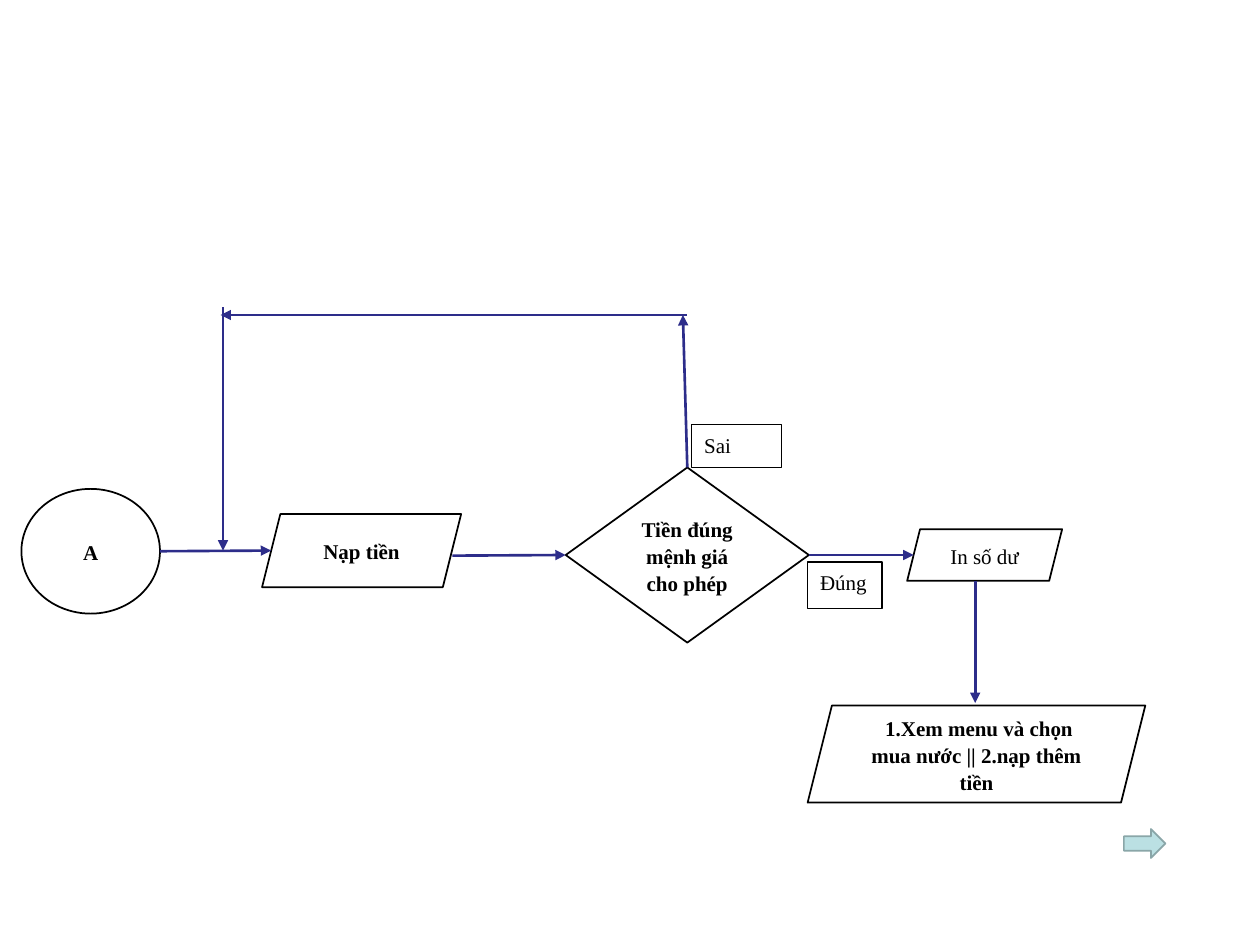
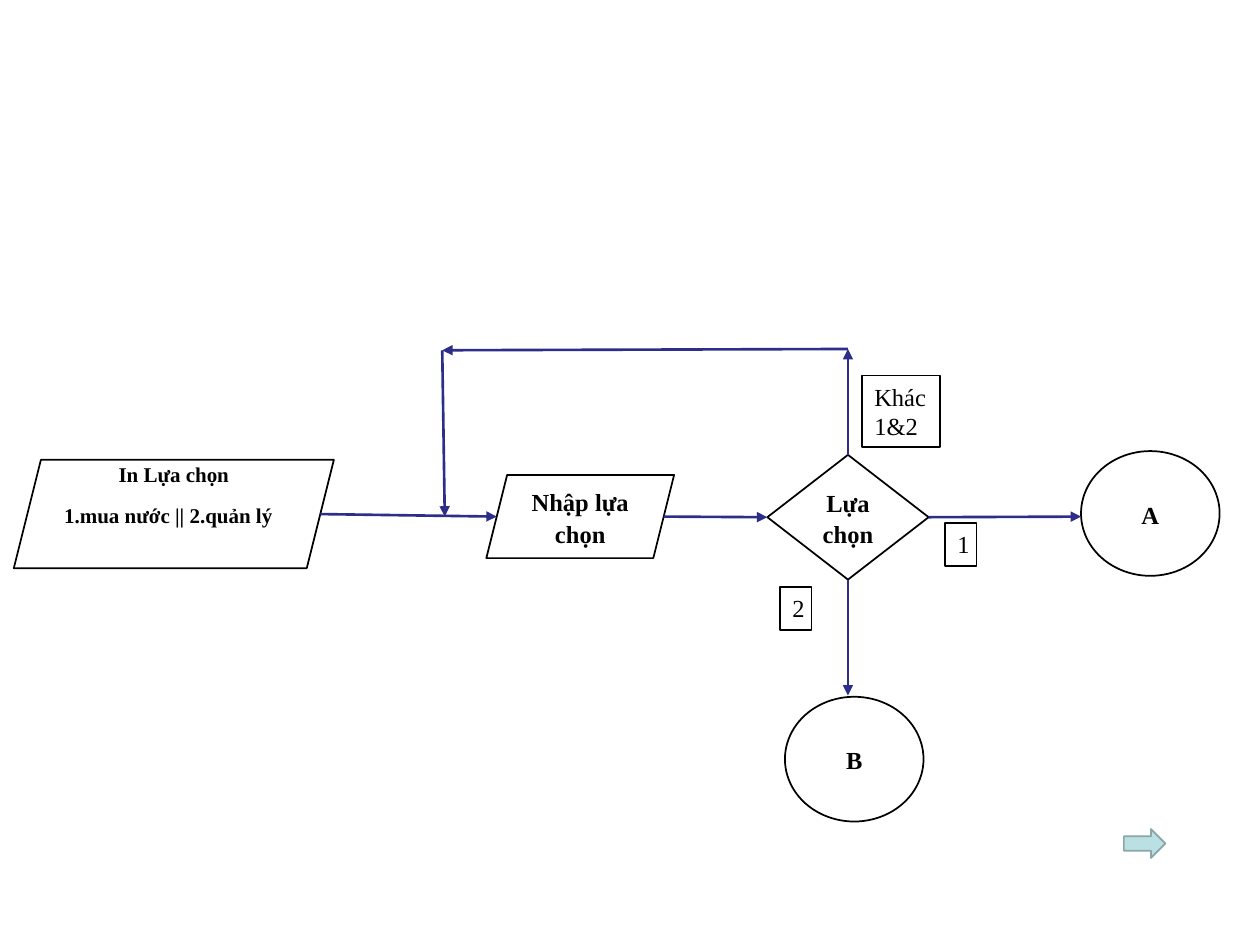
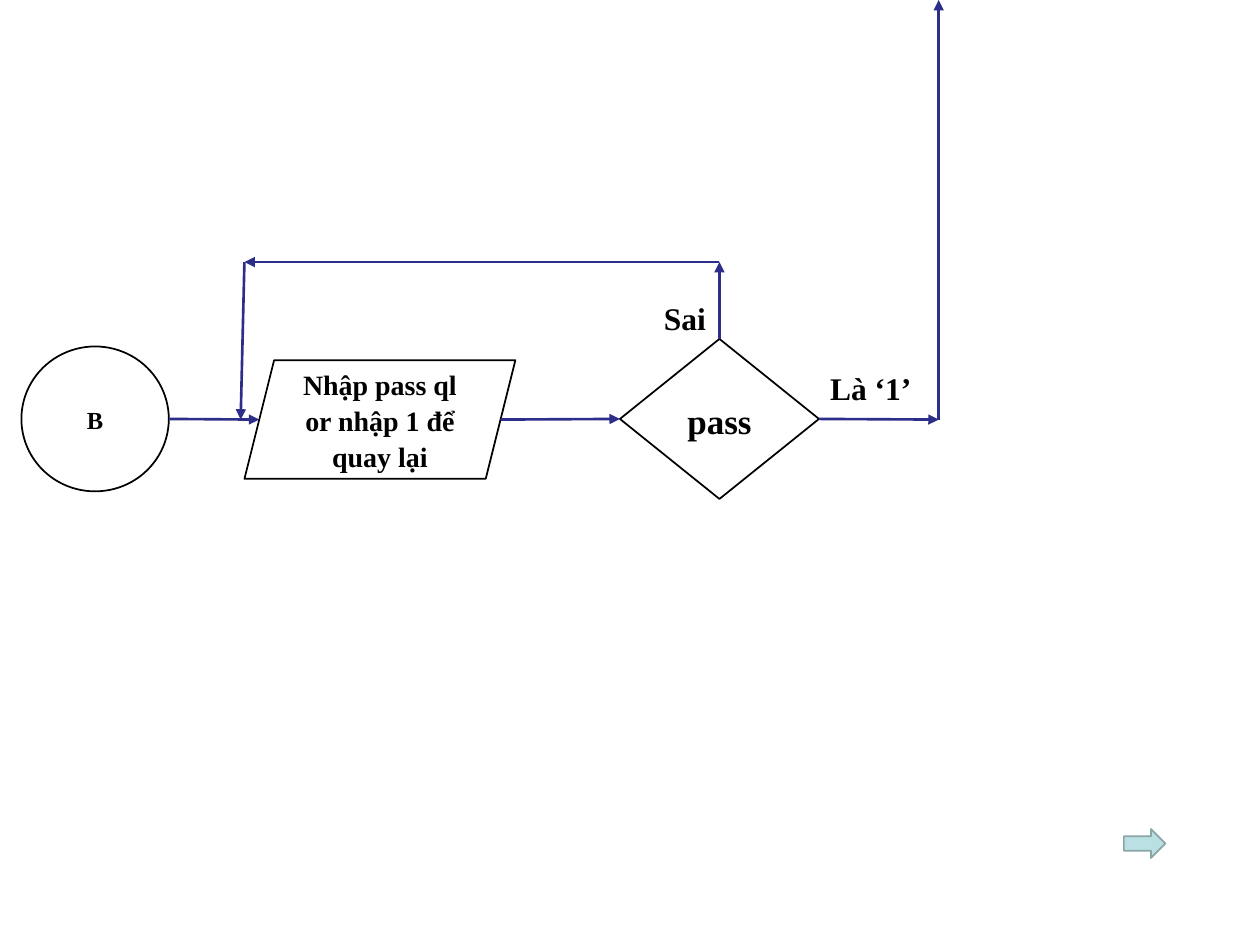
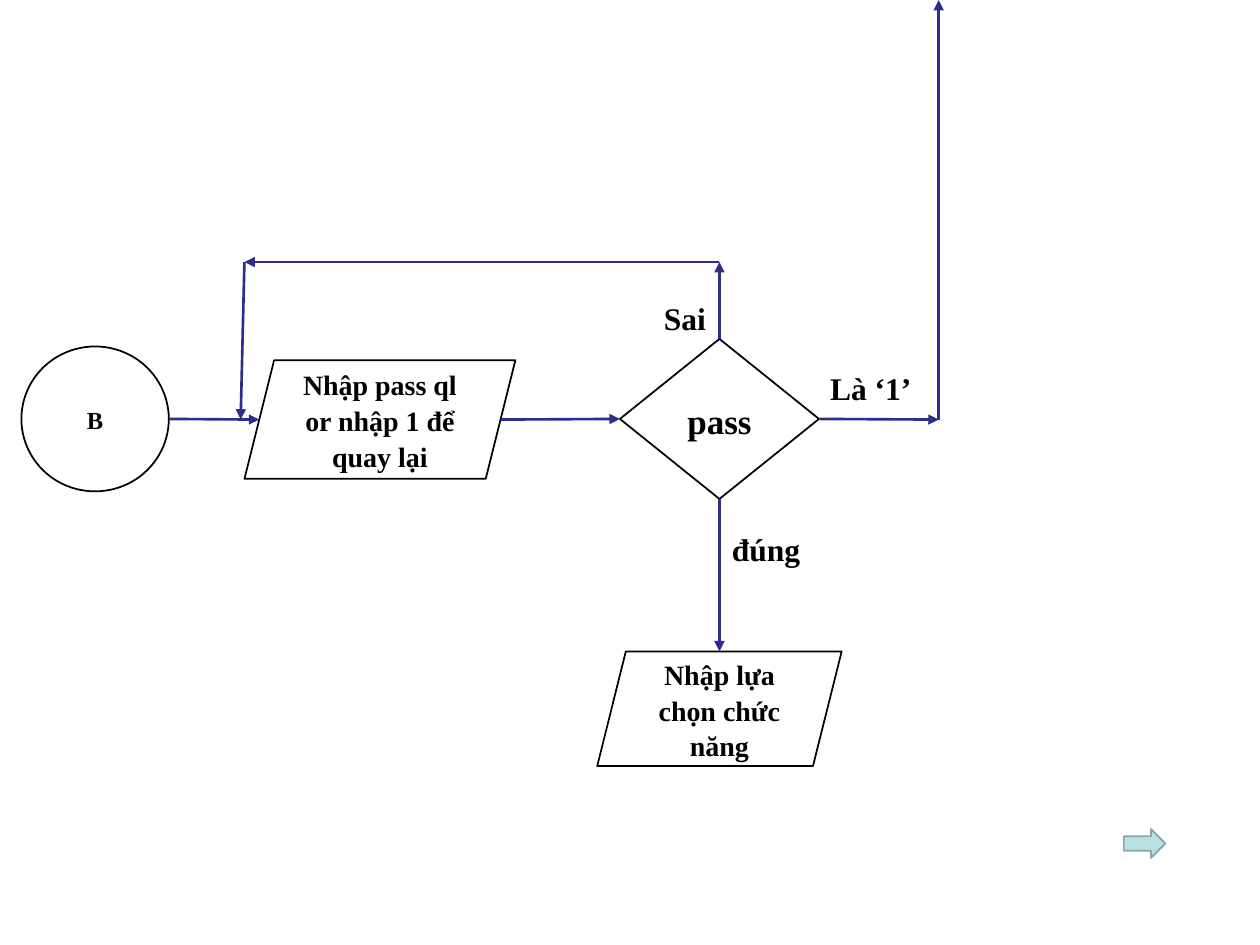
from dataclasses import dataclass
from itertools import pairwise

from lxml import etree
from pptx import Presentation
from pptx import util as u
from pptx.dml.color import RGBColor
from pptx.enum import shapes, text
from pptx.oxml.ns import qn

# Shared look
HUES = {"ink": "000000", "paper": "FFFFFF", "arrow": "2D2D8A",
        "next": "BBE0E3", "edge": "8AA6A8"}
FACE = "Times New Roman"
COLS, ROWS = 100, 75
WIDE, HIGH = u.Inches(10), u.Inches(7.5)
KIND = shapes.MSO_SHAPE
DISC, SKEW, GEM, RECT = (KIND.FLOWCHART_CONNECTOR, KIND.PARALLELOGRAM,
                         KIND.DIAMOND, KIND.RECTANGLE)
MID, LEFT = text.PP_ALIGN.CENTER, text.PP_ALIGN.LEFT
Point = tuple[float, float]


@dataclass(frozen=True)
class Box:
    """Place and size in grid columns and rows."""
    x: float
    y: float
    w: float
    h: float

    def emu(self) -> list[int]:
        return [col(self.x), row(self.y), col(self.w), row(self.h)]


@dataclass(frozen=True)
class Node(Box):
    """A filled step of the flow, with a point on each side for arrows."""
    kind: KIND
    words: str
    size: int = 12
    bold: bool = True
    aligns: tuple = (MID,)
    foot: float = 0.05

    def slant(self) -> float:
        return self.h / 8 if self.kind == SKEW else 0

    def west(self) -> Point:
        return self.x + self.slant(), self.y + self.h / 2

    def east(self) -> Point:
        return self.x + self.w - self.slant(), self.y + self.h / 2

    def north(self) -> Point:
        return self.x + self.w / 2, self.y

    def south(self) -> Point:
        return self.x + self.w / 2, self.y + self.h


@dataclass(frozen=True)
class Label(Box):
    """The answer beside an arrow, framed when it has a line."""
    words: str
    size: int
    line: float = 0
    bold: bool = False
    grow: bool = False


@dataclass(frozen=True)
class Flow:
    nodes: list[Node]
    labels: list[Label]
    routes: list[list[Point]]


def col(n: float) -> int:
    return round(WIDE * n / COLS)


def row(n: float) -> int:
    return round(HIGH * n / ROWS)


def hue(name: str) -> RGBColor:
    return RGBColor.from_string(HUES[name])


def apply(item, **marks) -> None:
    for name, mark in marks.items():
        setattr(item, name, mark)


def paint(shape, fill: str | None, line: str, width: float) -> None:
    shape.shadow.inherit = False
    if fill:
        shape.fill.solid()
        shape.fill.fore_color.rgb = hue(fill)
    else:
        shape.fill.background()
    shape.line.color.rgb = hue(line)
    shape.line.width = u.Pt(width)


def write(shape, words: str, size: int, bold: bool, aligns: tuple,
          tight: bool = False) -> None:
    frame = shape.text_frame
    frame.text = words
    frame.word_wrap = True
    for part, align in zip(frame.paragraphs, aligns):
        apply(part, alignment=align, line_spacing=1.0 if tight else 1.07,
              space_after=u.Pt(0 if tight else 8))
        font = part.runs[0].font
        apply(font, name=FACE, size=u.Pt(size), bold=bold)
        font.color.rgb = hue("ink")


def draw_node(slide, node: Node) -> None:
    shape = slide.shapes.add_shape(node.kind, *node.emu())
    paint(shape, "paper", "ink", 1)
    write(shape, node.words, node.size, node.bold, node.aligns)
    apply(shape.text_frame, vertical_anchor=text.MSO_ANCHOR.MIDDLE,
          margin_bottom=u.Inches(node.foot))


def draw_label(slide, label: Label) -> None:
    if label.line:
        shape = slide.shapes.add_shape(RECT, *label.emu())
        paint(shape, None, "ink", label.line)
    else:
        shape = slide.shapes.add_textbox(*label.emu())
    write(shape, label.words, label.size, label.bold, (LEFT,), label.grow)
    shape.text_frame.vertical_anchor = text.MSO_ANCHOR.TOP
    if label.grow:
        shape.text_frame.auto_size = text.MSO_AUTO_SIZE.SHAPE_TO_FIT_TEXT


def draw_arrow(slide, start: Point, end: Point) -> None:
    ends = [f(n) for p in (start, end) for f, n in zip((col, row), p)]
    link = slide.shapes.add_connector(shapes.MSO_CONNECTOR.STRAIGHT, *ends)
    link.line.color.rgb = hue("arrow")
    link.line.width = u.Pt(1.5)
    props = link.element.spPr
    etree.SubElement(props.find(qn("a:ln")), qn("a:tailEnd"), type="triangle")
    etree.SubElement(props, qn("a:effectLst"))


def draw_flow(slide, flow: Flow) -> None:
    for node in flow.nodes:
        draw_node(slide, node)
    for route in flow.routes:
        for start, end in pairwise(route):
            draw_arrow(slide, start, end)
    for label in flow.labels:
        draw_label(slide, label)


def add_next(deck, slide) -> None:
    """Put the next arrow on the master, so every slide shows it."""
    shape = slide.shapes.add_shape(KIND.RIGHT_ARROW,
                                   *Box(89.2, 65.8, 3.3, 2.3).emu())
    paint(shape, "next", "edge", 1)
    shape.element.nvSpPr.cNvPr.set("id", "20")
    deck.slide_master.shapes.element.append(shape.element)


# Paying in
def pay_flow() -> Flow:
    start = Node(1.7, 38.8, 11, 9.9, DISC, "A")
    pay = Node(20.8, 40.8, 15.8, 5.8, SKEW, "Nạp tiền")
    test = Node(44.9, 37.1, 19.3, 13.9, GEM, "Tiền đúng mệnh giá cho phép")
    rest = Node(72, 42, 12.3, 4.1, SKEW, "In số dư", bold=False)
    menu = Node(64.1, 56, 26.8, 7.7, SKEW,
                " 1.Xem menu và chọn mua nước || 2.nạp thêm tiền")
    return Flow(
        [start, pay, test, rest, menu],
        [Label(54.9, 33.7, 7.1, 3.4, "Sai", 12, 0.75),
         Label(64.1, 44.6, 5.9, 3.7, "Đúng", 12, 0.75)],
        [[start.east(), pay.west()], [(35.9, 44.1), test.west()],
         [test.north(), (54.2, 25)], [(54.5, 25), (17.5, 25)],
         [(17.7, 24.4), (17.7, 43.7)],
         [test.east(), rest.west()], [(77.4, 46.1), (77.4, 55.8)]])


# Choosing a mode
def mode_flow() -> Flow:
    show = Node(1.1, 36.5, 25.4, 8.6, SKEW,
                "In Lựa chọn\n1.mua nước || 2.quản lý",
                aligns=(MID, LEFT), foot=0.37)
    ask = Node(38.6, 37.7, 14.9, 6.6, SKEW, "Nhập lựa chọn", 14)
    test = Node(60.9, 36.1, 12.8, 9.9, GEM, "Lựa chọn", 14)
    buy = Node(85.8, 35.8, 11, 9.9, DISC, "A", 14)
    run = Node(62.3, 55.3, 11, 9.9, DISC, "B", 14)
    return Flow(
        [show, ask, test, buy, run],
        [Label(*spot, words, 14, 1, grow=True) for *spot, words in (
            (68.4, 29.8, 6.2, 5.7, "Khác 1&2"),
            (75, 41.5, 2.5, 3.4, "1"),
            (61.9, 46.6, 2.5, 3.4, "2"))],
        [[show.east(), ask.west()], [ask.east(), test.west()],
         [test.north(), (67.3, 27.7), (35.1, 27.8), (35.3, 41)],
         [test.east(), (85.8, 41)], [test.south(), (67.3, 55.2)]])


# Password check, with or without the step that follows a right one
def pass_flow(full: bool) -> Flow:
    start = Node(1.7, 27.5, 11.7, 11.5, DISC, "B", 14)
    ask = Node(19.4, 28.6, 21.5, 9.4, SKEW,
               "Nhập pass ql or nhập 1 để quay lại", 16)
    test = Node(49.2, 26.9, 15.8, 12.7, GEM, "pass", 20)
    flow = Flow(
        [start, ask, test],
        [Label(51.7, 23, 7.1, 3.4, "Sai", 18, bold=True),
         Label(64.9, 28.6, 10.9, 4.1, "Là ‘1’", 18, bold=True)],
        [[start.east(), ask.west()], [ask.east(), test.west()],
         [test.north(), (57.1, 20.8), (19.4, 20.8), (19.1, 33.3)],
         [test.east(), (74.5, 33.3), (74.5, 0)]])
    if full:
        pick = Node(47.4, 51.7, 19.4, 9.1, SKEW, "Nhập lựa chọn chức năng", 16)
        flow.nodes.append(pick)
        flow.labels.append(Label(57.1, 41.4, 7.8, 4.3, "đúng", 18, bold=True))
        flow.routes.append([test.south(), pick.north()])
    return flow


def main() -> None:
    deck = Presentation()
    apply(deck, slide_width=WIDE, slide_height=HIGH)
    blank = deck.slide_layouts[6]
    flows = [pay_flow(), mode_flow(), pass_flow(False), pass_flow(True)]
    for flow in flows:
        draw_flow(deck.slides.add_slide(blank), flow)
    add_next(deck, deck.slides[0])
    deck.save("out.pptx")


if __name__ == "__main__":
    main()
